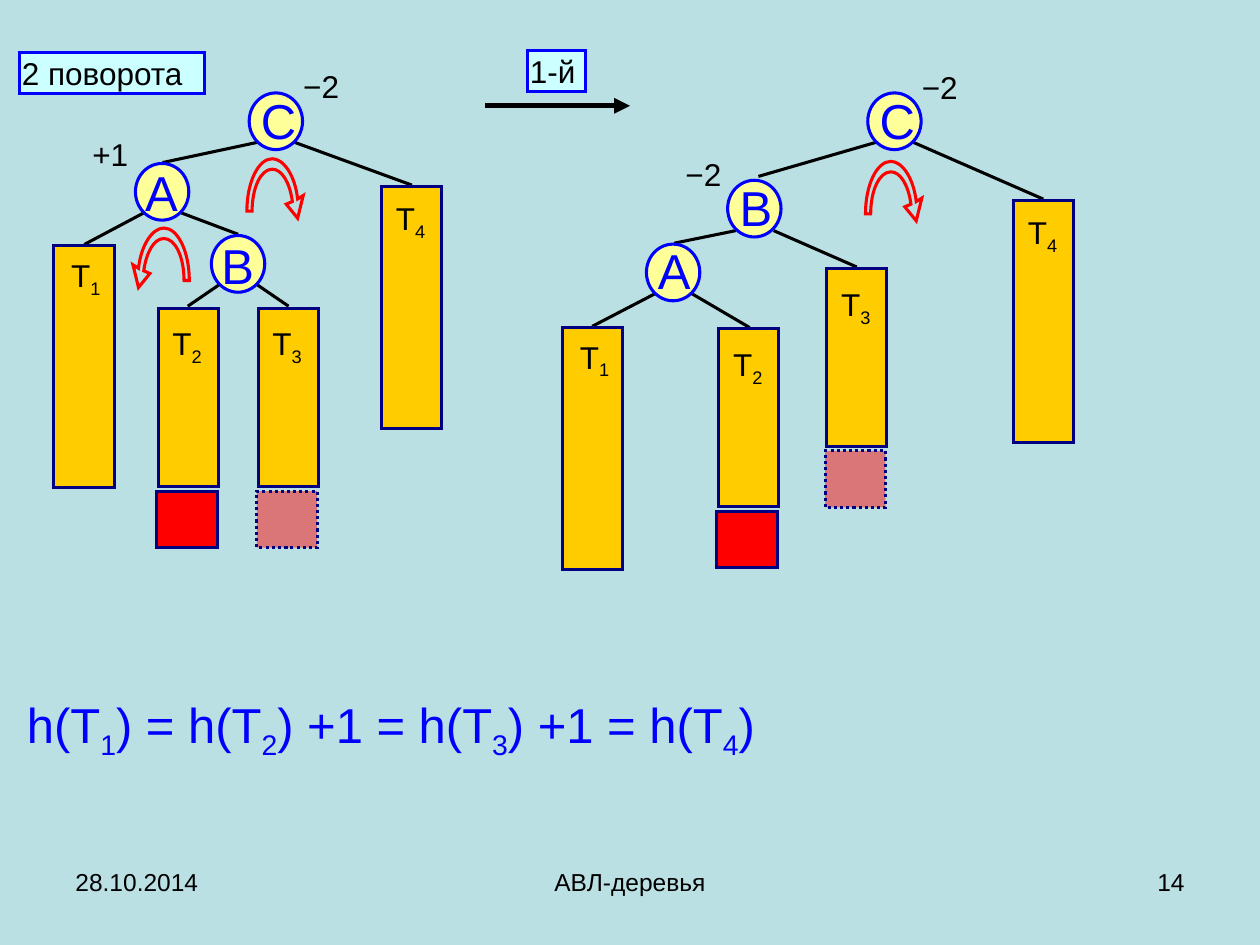
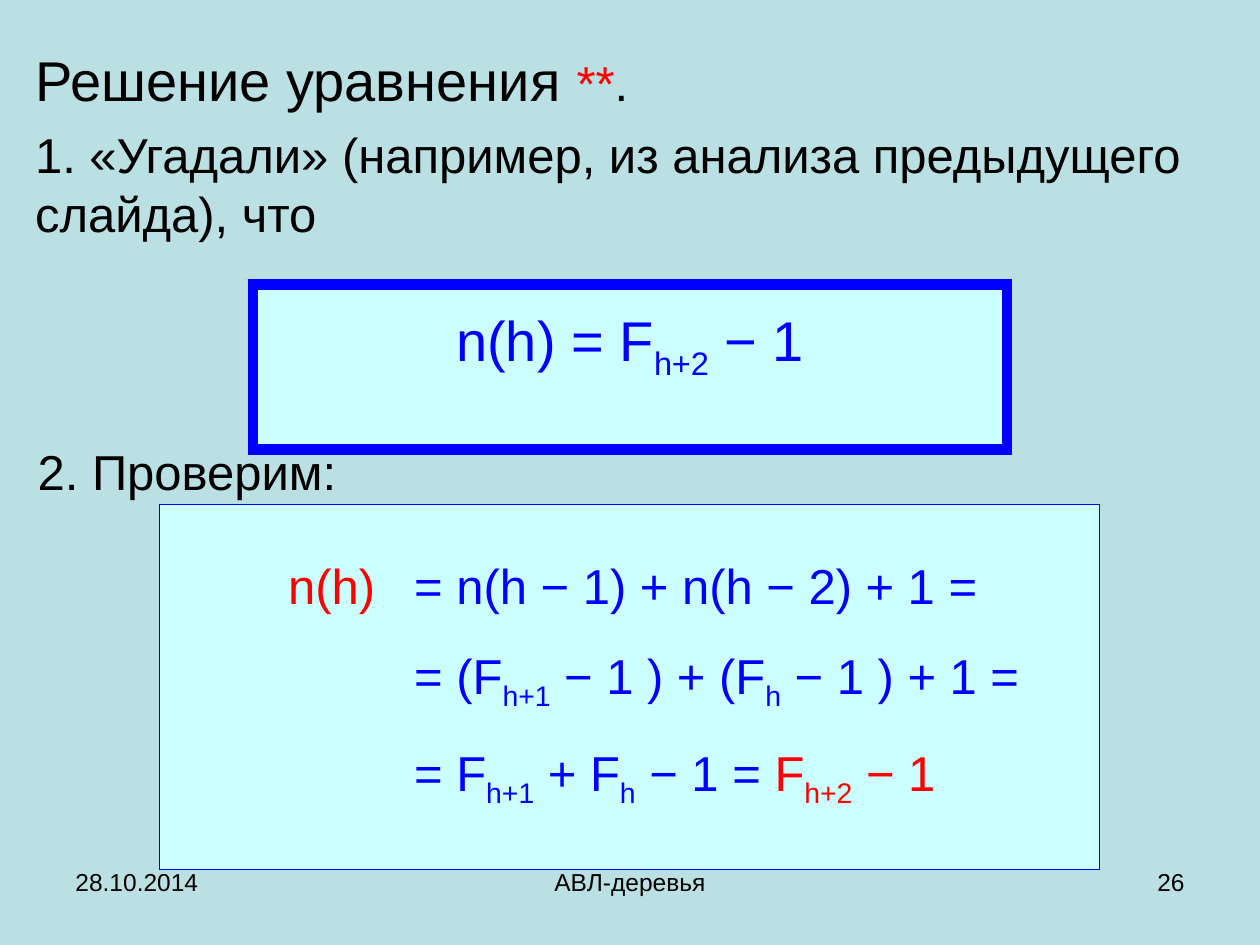
from lxml import etree
from pptx import Presentation
from pptx.dml.color import RGBColor
from pptx.enum.dml import MSO_LINE
from pptx.enum.shapes import MSO_CONNECTOR, MSO_SHAPE
from pptx.enum.text import MSO_ANCHOR, MSO_AUTO_SIZE, PP_ALIGN
from pptx.oxml.ns import qn
from pptx.util import Pt

LEFT, CENTER, RIGHT = PP_ALIGN.LEFT, PP_ALIGN.CENTER, PP_ALIGN.RIGHT
RECTANGLE, OVAL = MSO_SHAPE.RECTANGLE, MSO_SHAPE.OVAL
STRAIGHT, DOTTED = MSO_CONNECTOR.STRAIGHT, MSO_LINE.ROUND_DOT

FONT = "Arial"
LINE_WIDTH = 1.75
TAB_STEP = 72
COLORS = {name: RGBColor.from_string(value) for name, value in {
    "background": "BBE0E3",
    "text": "000000",
    "blue": "0000FF",
    "red": "FF0000",
    "panel": "CCFFFF",
    "node": "FFFF99",
    "subtree": "FFCC00",
    "navy": "000080",
}.items()}


def paint(shape, fill, line, width=LINE_WIDTH, dash=None):
    """Give a shape a solid fill and a sharp-cornered outline without a shadow."""
    shape.shadow.inherit = False
    shape.fill.solid()
    shape.fill.fore_color.rgb = COLORS[fill]
    shape.line.color.rgb = COLORS[line]
    shape.line.width = Pt(width)
    if dash:
        shape.line.dash_style = dash
    etree.SubElement(shape.line._get_or_add_ln(), qn("a:miter"), lim="800000")


def add_text(slide, text, box, size, color="text", align=LEFT,
             inset=(1.5, 0.7), border=0, spacing=0, shape=None):
    """Write lines into a new text box or a given shape; _..._ is subscript, |...| is red."""
    if shape is None:
        shape = slide.shapes.add_textbox(0, 0, 0, 0)
    shape.left, shape.top, shape.width, shape.height = map(Pt, box)
    frame = shape.text_frame
    frame.word_wrap = True
    frame.auto_size = MSO_AUTO_SIZE.NONE
    frame.vertical_anchor = MSO_ANCHOR.TOP
    frame.margin_left = frame.margin_right = Pt(inset[0])
    frame.margin_top, frame.margin_bottom = Pt(inset[1]), Pt(0.7)
    for index, line in enumerate(text.split("\n")):
        paragraph = frame.add_paragraph() if index else frame.paragraphs[0]
        paragraph.alignment = align
        paragraph.font.name = FONT
        paragraph.font.size = Pt(size)
        paragraph.font.color.rgb = COLORS[color]
        if index:
            paragraph.space_before = Pt(spacing)
        if "\t" in line:
            tabs = etree.Element(qn("a:tabLst"))
            for stop in (1, 2):
                etree.SubElement(tabs, qn("a:tab"), pos=str(Pt(stop * TAB_STEP)), algn="l")
            paragraph.font._element.addprevious(tabs)
        for part_index, part in enumerate(line.split("|")):
            for piece_index, piece in enumerate(part.split("_")):
                if not piece:
                    continue
                run = paragraph.add_run()
                run.text = piece
                if part_index % 2:
                    run.font.color.rgb = COLORS["red"]
                if piece_index % 2:
                    run.font._element.set("baseline", "-25000")
    if border:
        paint(shape, "panel", "blue", border)


presentation = Presentation()
presentation.slide_width, presentation.slide_height = Pt(720), Pt(540)
background = presentation.slide_master.background.fill
background.solid()
background.fore_color.rgb = COLORS["background"]

title_only, blank = presentation.slide_layouts[5], presentation.slide_layouts[6]
rotation_slide = presentation.slides.add_slide(blank)
solution_slide = presentation.slides.add_slide(title_only)

for slide, number in ((rotation_slide, "14"), (solution_slide, "26")):
    for text, left, width, align in (
        ("28.10.2014", 36, 168, LEFT),
        ("АВЛ-деревья", 246, 228, CENTER),
        (number, 516, 168, RIGHT),
    ):
        add_text(slide, text, (left, 491.8, width, 37.4), 14, align=align, inset=(7.2, 3.6))

# Slide 1: the trees before and after the first rotation
shapes = rotation_slide.shapes

TREE_EDGES = [
    (146.9, 81.4, 92.9, 92.9), (168.5, 81.4, 235.4, 105.8),
    (82.1, 121.7, 48.2, 139.7), (103.7, 121.7, 136.1, 133.9),
    (164.9, 175, 146.9, 162.7), (125.3, 162.7, 107.3, 175),
    (500.4, 81.4, 433.4, 100.8), (522, 81.4, 596.2, 113.8),
    (385.2, 139, 420.5, 131.8), (489.6, 152.6, 442.1, 131.8),
    (374.4, 167.8, 338.4, 186.5), (395.3, 167.8, 428.4, 187.2),
]
STEP_ARROW = (277.2, 60.5, 360, 60.5)
for edge in TREE_EDGES + [STEP_ARROW]:
    connector = shapes.add_connector(STRAIGHT, *map(Pt, edge))
    connector.line.color.rgb = COLORS["text"]
    connector.line.width = Pt(LINE_WIDTH)
    if edge == STEP_ARROW:
        connector.line.width = Pt(3)
        etree.SubElement(connector.line._get_or_add_ln(), qn("a:tailEnd"), type="triangle")
    etree.SubElement(connector._element.spPr, qn("a:effectLst"))

# Each subtree: name, left, top, height, label offsets, kind of added block
BAR_WIDTH, TALL, SHORT, BLOCK_HEIGHT = 34.5, 138.2, 101.5, 32.4
SUBTREES = [
    ("T_1_", 30.8, 140.4, TALL, 8.4, 5, None),
    ("T_2_", 90.4, 176.4, SHORT, 6.6, 8.3, "solid"),
    ("T_3_", 147.6, 176.4, SHORT, 6.6, 8.3, "faded"),
    ("T_4_", 218, 106.6, TALL, 6.7, 6.3, None),
    ("T_1_", 321.4, 187.2, TALL, 8.4, 5, None),
    ("T_2_", 410.4, 187.9, SHORT, 7, 8.5, "solid"),
    ("T_3_", 472.3, 153.4, SHORT, 6.8, 8.8, "faded"),
    ("T_4_", 578.9, 114.5, TALL, 7, 6.5, None),
]
for name, left, top, height, label_x, label_y, block in SUBTREES:
    if block:
        box = (left - 0.8, top + height + 2.7, BAR_WIDTH, BLOCK_HEIGHT)
        added_block = shapes.add_shape(RECTANGLE, *map(Pt, box))
        paint(added_block, "red", "navy", dash=DOTTED if block == "faded" else None)
        if block == "faded":
            fill_color = added_block._element.spPr.find(qn("a:solidFill"))[0]
            etree.SubElement(fill_color, qn("a:alpha"), val="47000")
    bar = shapes.add_shape(RECTANGLE, *map(Pt, (left, top, BAR_WIDTH, height)))
    paint(bar, "subtree", "navy")
    add_text(rotation_slide, name, (left + label_x, top + label_y, 25.2, 25.9), 18)

# Each node: name, left, top, label offsets
NODES = [
    ("C", 142.4, 53.1, 5.2, -2), ("A", 77.4, 93.4, 4, -1.4), ("B", 120.8, 134.6, 4.3, -0.8),
    ("C", 495.9, 53.1, 5.2, -2), ("B", 415.8, 103, 5.4, -2), ("A", 369.4, 139.5, 5, -2.8),
]
for name, left, top, label_x, label_y in NODES:
    circle = shapes.add_shape(OVAL, *map(Pt, (left, top, 30.5, 32.4)))
    paint(circle, "node", "blue")
    add_text(rotation_slide, name, (left + label_x, top + label_y, 23.8, 35.3), 28, "blue")

# Curved rotation arrow: three points make a curve, one point a straight side
ARROW_WIDTH = 32.2
ARROW_START = (26, 24.5)
ARROW_SEGMENTS = [
    [(24.5, 13.5), (20, 6), (14.5, 6)],
    [(8, 6), (3, 16.5), (3, 30)],
    [(0, 30)],
    [(0, 13.5), (6.5, 0), (14.5, 0)],
    [(21, 0), (27.5, 9.5), (29, 23)],
    [(ARROW_WIDTH, 21)],
    [(29, 34)],
    [(22.5, 26)],
]
arrow_outline = [ARROW_START] + [point for segment in ARROW_SEGMENTS for point in segment]

for left, top, mirrored in ((76, 130.3, True), (141.1, 90.7, False), (494.6, 92.2, False)):
    points = [(Pt(left + (ARROW_WIDTH - x if mirrored else x)), Pt(top + y))
              for x, y in arrow_outline]
    builder = shapes.build_freeform(*points[0])
    builder.add_line_segments(points[1:], close=True)
    arrow = builder.convert_to_shape()
    sides = iter(list(arrow._element.iter(qn("a:lnTo"))))
    for segment in ARROW_SEGMENTS:
        segment_sides = [next(sides) for point in segment]
        if len(segment) == 3:
            curve = etree.Element(qn("a:cubicBezTo"))
            segment_sides[0].addprevious(curve)
            for side in segment_sides:
                curve.append(side[0])
                side.getparent().remove(side)
    paint(arrow, "background", "red")

for balance, left, top in (("+1", 51.3, 76.3), ("−2", 171.8, 37.4),
                           ("−2", 525.3, 38.2), ("−2", 390.2, 88)):
    add_text(rotation_slide, balance, (left, top, 26.6, 23), 18)
for caption, left, top, width in (("2 поворота", 11, 30, 105.8), ("1-й", 301.3, 28.8, 33.3)):
    add_text(rotation_slide, caption, (left, top, width, 23.5), 18, border=LINE_WIDTH)
add_text(rotation_slide, "h(T_1_) = h(T_2_) +1 = h(T_3_) +1 = h(T_4_)",
         (13.9, 396, 476.6, 40.3), 28, "blue")

# Slide 2: solving the equation
title = solution_slide.shapes.title
add_text(solution_slide, "Решение уравнения |**|.", (13, 22.3, 692, 46), 32,
         inset=(7.2, 3.6), shape=title)
for run in title.text_frame.paragraphs[0].runs[1:]:
    run.font.size = Pt(28)

add_text(solution_slide, "1. «Угадали» (например, из анализа предыдущего слайда), что",
         (13, 67.7, 692, 80.6), 28, inset=(7.2, 3.6))
add_text(solution_slide, "n(h) = F_h+2_ − 1", (144.7, 162.7, 430.6, 94.3), 32, "blue",
         CENTER, inset=(1.5, 12), border=6)
add_text(solution_slide, "2. Проверим:", (20, 251.3, 663, 35.3), 28)
add_text(solution_slide,
         "\t|n(h) \t|= n(h − 1) + n(h − 2) + 1 =\n"
         "\t\t= (F_h+1_ − 1 ) + (F_h_ − 1 ) + 1 =\n"
         "\t\t= F_h+1_ + F_h_ − 1 = |F_h+2_ − 1|",
         (91.2, 288.3, 537.1, 208.8), 28, "blue",
         inset=(1.5, 29.2), border=0.75, spacing=17.5)

presentation.save("out.pptx")
